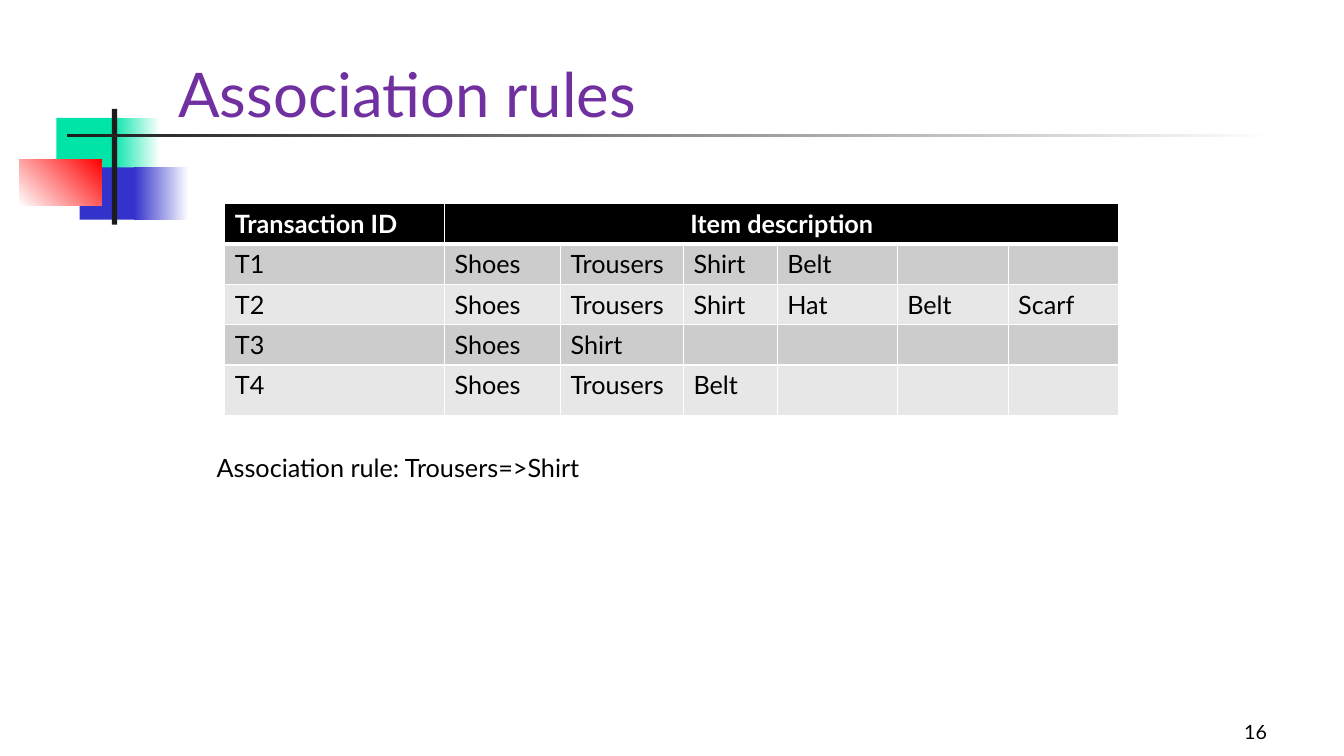
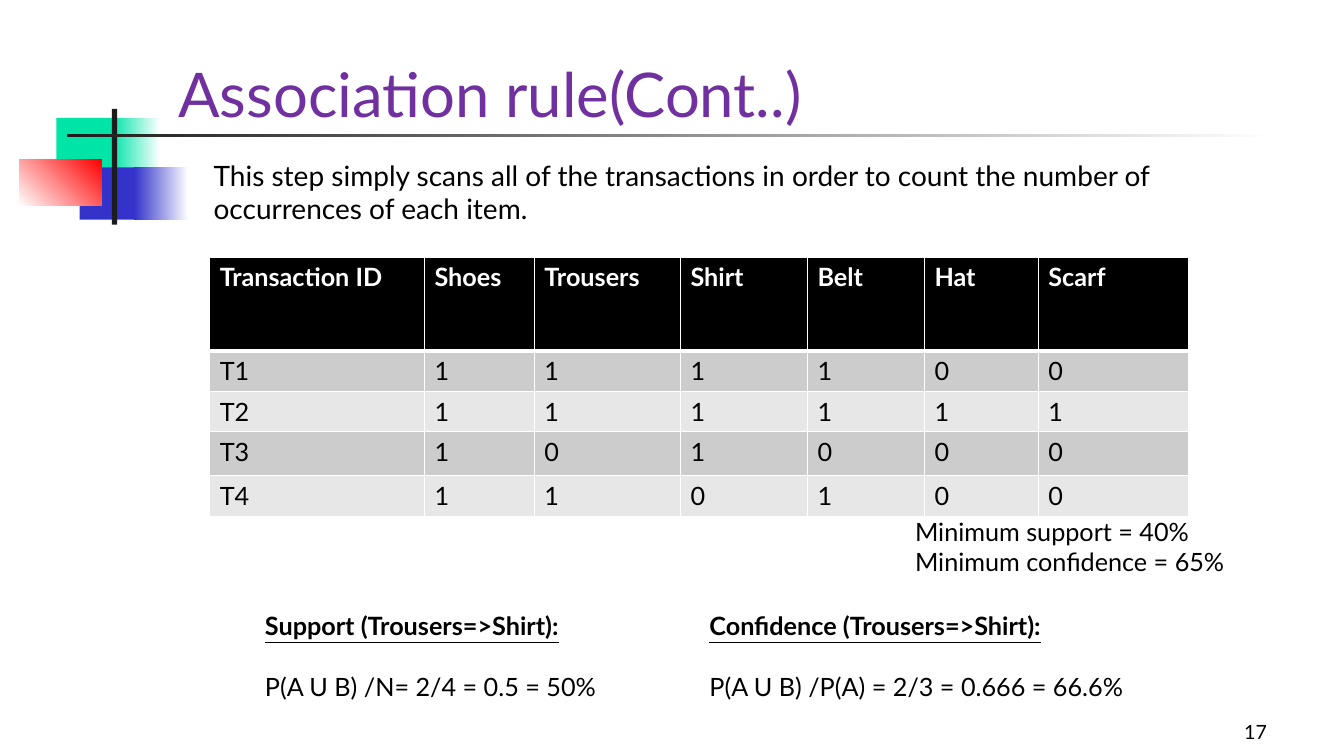
from pptx import Presentation
from pptx.dml.color import RGBColor as RGB
from pptx.enum.shapes import MSO_SHAPE as SHAPE
from pptx.enum.text import MSO_ANCHOR as ANCHOR, MSO_AUTO_SIZE as AUTO, PP_ALIGN as ALIGN
from pptx.oxml.ns import qn
from pptx.util import Inches, Pt
from lxml.etree import SubElement

SLIDE_W, SLIDE_H = Inches(13.33), Inches(7.5)
FONT = "Lato"
WHITE, BLACK = RGB(0xFF, 0xFF, 0xFF), RGB(0, 0, 0)
PURPLE, INK = RGB(0x70, 0x30, 0xA0), RGB(0x1C, 0x1C, 0x1C)
GREEN, BLUE, RED = RGB(0, 0xE4, 0xA8), RGB(0x33, 0x33, 0xCC), RGB(0xFF, 0, 0)
BANDS = RGB(0xCC, 0xCC, 0xCC), RGB(0xE7, 0xE7, 0xE7)

TITLE = {"size": Pt(44), "color": PURPLE}
INTRO = {"size": Pt(20)}
BODY = {"size": Pt(18)}
NUMBER = {"size": Pt(14)}
HEADING = {"size": Pt(18), "bold": True, "underline": True}
TABLE_HEAD = {"size": Pt(18), "bold": True, "color": WHITE}

# Place in percent of the slide, colour stops, gradient angle
DECORATION = [
    ((4.2, 15.6, 4.8, 6.93), (GREEN,), 0),
    ((8.33, 15.6, 3.6, 6.93), (GREEN, WHITE), 0),
    ((5.93, 22.13, 4.65, 6.93), (BLUE,), 0),
    ((9.98, 22.13, 4.05, 6.93), (BLUE, WHITE), 0),
    ((1.43, 21.07, 6.15, 6.13), (WHITE, RED), 45),
    ((8.33, 14.4, 0.38, 15.33), (INK,), 0),
    ((5, 17.73, 90, 0.4), (INK, WHITE), 0),
]
ITEMS = ["Shoes", "Trousers", "Shirt", "Belt", "Hat", "Scarf"]
BASKETS = {
    "T1": ["Shoes", "Trousers", "Shirt", "Belt"],
    "T2": ["Shoes", "Trousers", "Shirt", "Hat", "Belt", "Scarf"],
    "T3": ["Shoes", "Shirt"],
    "T4": ["Shoes", "Trousers", "Belt"],
}


def across(share):
    return int(SLIDE_W * share / 100)


def down(share):
    return int(SLIDE_H * share / 100)


def box(x, y, w, h):
    """Turn percentages of the slide into left, top, width and height."""
    return across(x), down(y), across(w), down(h)


def write(p, text, style, align=ALIGN.LEFT):
    p.alignment = align
    r = p.add_run()
    r.text = text
    values = {"name": FONT, "bold": False, "color": BLACK, **style}
    r.font.color.rgb = values.pop("color")
    for key, value in values.items():
        setattr(r.font, key, value)


def add_text(slide, place, lines, gap=0, align=ALIGN.LEFT, anchor=ANCHOR.TOP):
    """Add a box of (text, style) lines, with gap points between them."""
    tf = slide.shapes.add_textbox(*box(*place)).text_frame
    tf.word_wrap, tf.vertical_anchor = True, anchor
    for i, (text, style) in enumerate(lines):
        p = tf.add_paragraph() if i else tf.paragraphs[0]
        p.space_before = Pt(gap if i else 0)
        write(p, text, style, align)


def add_block(slide, place, colors, angle):
    sp = slide.shapes.add_shape(SHAPE.RECTANGLE, *box(*place))
    sp.shadow.inherit = False
    sp.line.fill.background()
    if len(colors) == 1:
        sp.fill.solid()
        sp.fill.fore_color.rgb = colors[0]
    else:
        sp.fill.gradient()
        sp.fill.gradient_angle = angle
        for stop, color in zip(sp.fill.gradient_stops, colors):
            stop.color.rgb = color
    return sp


def decorate_layout(layout, slide):
    """Draw the decoration on the slide, then move it to the shared layout."""
    tree = layout.shapes.element
    for i, (place, colors, angle) in enumerate(DECORATION):
        sp = add_block(slide, place, colors, angle).element
        sp.nvSpPr.cNvPr.id = 100 + i
        tree.insert(2 + i, sp)


def add_slide(prs, layout, title, number):
    slide = prs.slides.add_slide(layout)
    sp = slide.shapes.title
    sp.left, sp.top, sp.width, sp.height = box(12.5, 1.2, 85.2, 16.67)
    tf = sp.text_frame
    for key, value in {"auto_size": AUTO.NONE, "word_wrap": True,
                       "vertical_anchor": ANCHOR.BOTTOM}.items():
        setattr(tf, key, value)
    write(tf.paragraphs[0], title, TITLE)
    add_text(slide, (74.17, 92.27, 20.83, 6.67), [(str(number), NUMBER)],
             align=ALIGN.RIGHT, anchor=ANCHOR.BOTTOM)
    return slide


def set_borders(cell, top, bottom):
    """Draw white cell borders; top and bottom widths are in points."""
    tc_pr = cell._tc.get_or_add_tcPr()
    for side, width in {"L": 1, "R": 1, "T": top, "B": bottom}.items():
        ln = SubElement(tc_pr, qn(f"a:ln{side}"), w=str(Pt(width)))
        fill = SubElement(ln, qn("a:solidFill"))
        SubElement(fill, qn("a:srgbClr"), val=str(WHITE))


def add_table(slide, x, y, cols, rows, cells, merge_head=False):
    """Add a banded table; merge_head joins the head cells after the first."""
    place = box(x, y, sum(cols), sum(rows))
    table = slide.shapes.add_table(len(rows), len(cols), *place).table
    for col, share in zip(table.columns, cols):
        col.width = across(share)
    for i, (row, share) in enumerate(zip(table.rows, rows)):
        row.height = down(share)
        for j, cell in enumerate(row.cells):
            set_borders(cell, 3 if i == 1 else 1, 1 if i else 3)
            cell.fill.solid()
            cell.fill.fore_color.rgb = BANDS[(i - 1) % 2] if i else BLACK
            if j < len(cells[i]):
                centred = merge_head and i == 0 and j == 1
                write(cell.text_frame.paragraphs[0], cells[i][j],
                      BODY if i else TABLE_HEAD,
                      ALIGN.CENTER if centred else ALIGN.LEFT)
    if merge_head:
        table.cell(0, 1).merge(table.cell(0, len(cols) - 1))


def add_basket_content(slide):
    cells = [["Transaction ID", "Item description"]]
    cells += [[name, *basket] for name, basket in BASKETS.items()]
    add_table(slide, 16.73, 26.93, [16.35, 8.63, 9.15, 6.98, 8.93, 8.25, 8.25],
              [5.33] * 4 + [6.67], cells, merge_head=True)
    add_text(slide, (15.38, 59.2, 32, 5.33),
             [("Association rule: Trousers=>Shirt", BODY)])


def add_count_content(slide):
    cells = [["Transaction ID", *ITEMS]]
    cells += [[name, *(str(int(item in basket)) for item in ITEMS)]
              for name, basket in BASKETS.items()]
    add_table(slide, 15.6, 34, [15.98, 8.18, 10.88, 9.45, 8.7, 8.48, 11.18],
              [12.4, 5.33, 5.33, 5.87, 5.33], cells)
    for x, heading, formula in [
        (18.98, "Support (Trousers=>Shirt):", "P(A U B) /N= 2/4 = 0.5 = 50%"),
        (52.05, "Confidence (Trousers=>Shirt):", "P(A U B) /P(A) = 2/3 = 0.666 = 66.6%"),
    ]:
        add_text(slide, (x, 80.13, 35.4, 13.33),
                 [(heading, HEADING), (formula, BODY)], gap=21.6)
    add_text(slide, (15.15, 20.27, 72.3, 10.27),
             [("This step simply scans all of the transactions in order to count "
               "the number of occurrences of each item.", INTRO)])
    add_text(slide, (67.35, 67.6, 28, 9.47),
             [("Minimum support = 40%", BODY), ("Minimum confidence = 65%", BODY)])


def main():
    prs = Presentation()
    prs.slide_width, prs.slide_height = SLIDE_W, SLIDE_H
    layout = prs.slide_layouts.get_by_name("Title Only")
    baskets = add_slide(prs, layout, "Association rules", 16)
    decorate_layout(layout, baskets)
    add_basket_content(baskets)
    add_count_content(add_slide(prs, layout, "Association rule(Cont..)", 17))
    prs.save("out.pptx")


if __name__ == "__main__":
    main()
